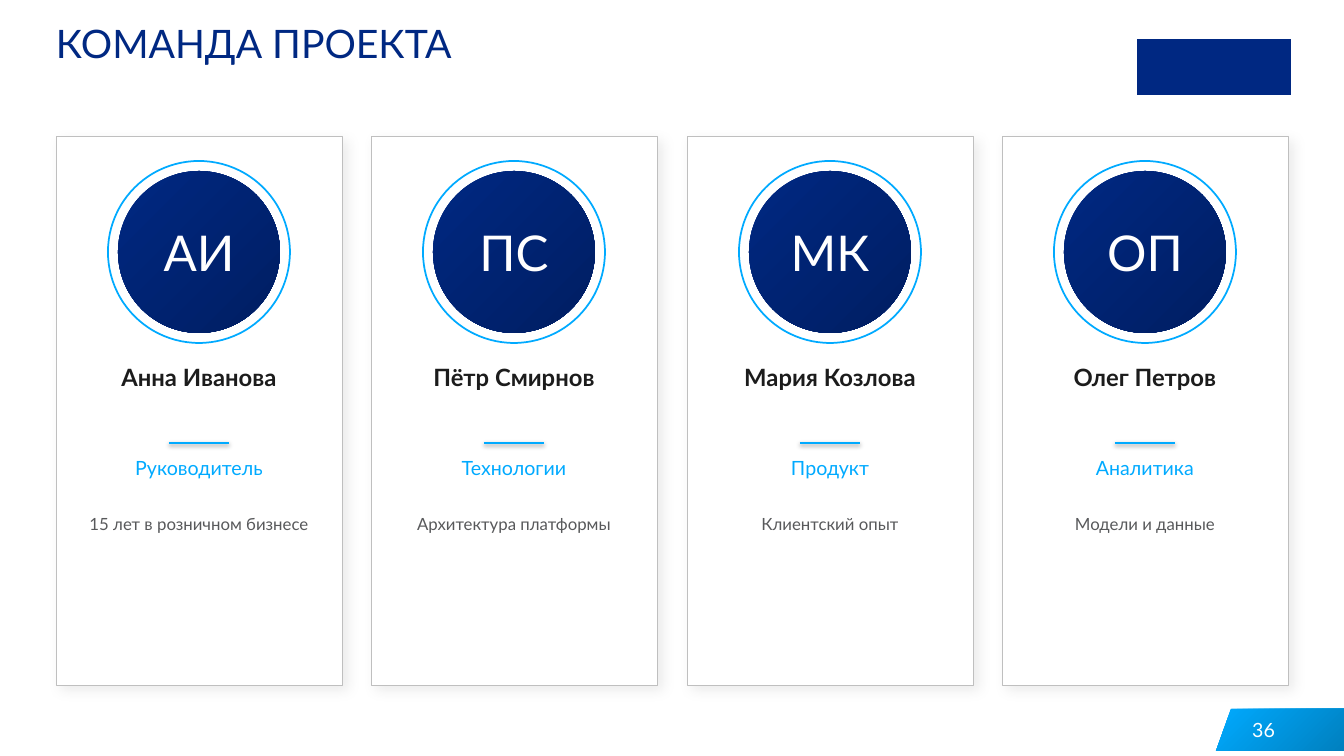
from dataclasses import dataclass

from lxml.etree import SubElement
from pptx import Presentation
from pptx.dml.color import RGBColor
from pptx.enum.shapes import MSO_CONNECTOR as Connector, MSO_SHAPE as Preset
from pptx.enum.text import MSO_ANCHOR as Anchor, MSO_AUTO_SIZE as AutoSize, PP_ALIGN as Align
from pptx.oxml.ns import qn
from pptx.util import Emu, Pt

PAGE_WIDTH, PAGE_HEIGHT = 1344, 756
TITLE_ONLY = 5
EMU_PER_PX = 914400 / 100.8


@dataclass(frozen=True)
class Theme:
    font: str = "Lato"
    navy: str = "002882"
    deep_navy: str = "001E62"
    sky: str = "00AAFF"
    deep_sky: str = "0080BF"
    white: str = "FFFFFF"
    border: str = "BFBFBF"
    ink: str = "1C1C1C"
    gray: str = "58595B"
    shadow: str = "000000"
    title_size: float = 28
    initials_size: float = 35.2
    name_size: float = 17
    label_size: float = 14
    note_size: float = 12


def px(length):
    return Emu(round(length * EMU_PER_PX))


def set_values(target, values):
    for name, value in values.items():
        setattr(target, name, value)


class SlideBuilder:
    def __init__(self, deck, theme):
        self.theme = theme
        self.page = deck.slides.add_slide(deck.slide_layouts[TITLE_ONLY])

    def set_text(self, shape, words, size, color, align=Align.CENTER,
                 anchor=Anchor.TOP, bold=False, inset=0):
        frame = shape.text_frame
        set_values(frame, {
            "word_wrap": True, "auto_size": AutoSize.NONE, "vertical_anchor": anchor,
            "margin_left": px(inset), "margin_right": px(inset),
            "margin_top": 0, "margin_bottom": 0})
        para = frame.paragraphs[0]
        para.alignment = align
        span = para.add_run()
        span.text = words
        set_values(span.font, {"name": self.theme.font, "size": Pt(size), "bold": bold})
        span.font.color.rgb = RGBColor.from_string(color)

    def title(self, words, left, top, width, height):
        shape = self.page.shapes.title
        set_values(shape, {"left": px(left), "top": px(top),
                           "width": px(width), "height": px(height)})
        self.set_text(shape, words, self.theme.title_size, self.theme.navy, Align.LEFT)

    def text(self, words, left, top, width, height, size, color, **layout):
        box = self.page.shapes.add_textbox(px(left), px(top), px(width), px(height))
        self.set_text(box, words, size, color, **layout)

    def paint(self, shape, fill=(), line=None, weight=0):
        """Fill with no colour, one colour or a diagonal gradient of two."""
        shape.shadow.inherit = False
        if len(fill) == 2:
            shape.fill.gradient()
            shape.fill.gradient_angle = 315
            for stop, color in zip(shape.fill.gradient_stops, fill):
                stop.color.rgb = RGBColor.from_string(color)
        elif fill:
            shape.fill.solid()
            shape.fill.fore_color.rgb = RGBColor.from_string(fill[0])
        else:
            shape.fill.background()
        if line:
            shape.line.color.rgb = RGBColor.from_string(line)
            shape.line.width = Pt(weight)
        else:
            shape.line.fill.background()

    def shape(self, preset, left, top, width, height, **paint):
        shape = self.page.shapes.add_shape(preset, px(left), px(top), px(width), px(height))
        self.paint(shape, **paint)
        return shape

    def polygon(self, points, **paint):
        start, *others = [(px(x), px(y)) for x, y in points]
        outline = self.page.shapes.build_freeform(*start)
        outline.add_line_segments(others, close=True)
        self.paint(outline.convert_to_shape(), **paint)

    def line(self, left, top, width, color, weight):
        line = self.page.shapes.add_connector(
            Connector.STRAIGHT, px(left), px(top), px(left + width), px(top))
        line.line.color.rgb = RGBColor.from_string(color)
        line.line.width = Pt(weight)
        SubElement(line.element.spPr, qn("a:effectLst"))
        return line

    def drop_shadow(self, shape, opacity, blur, distance, angle):
        effects = shape.element.spPr.find(qn("a:effectLst"))
        outer = SubElement(effects, qn("a:outerShdw"), blurRad=str(Pt(blur)),
                           dist=str(Pt(distance)), dir=str(angle * 60000),
                           algn="ctr", rotWithShape="0")
        color = SubElement(outer, qn("a:srgbClr"), val=self.theme.shadow)
        SubElement(color, qn("a:alpha"), val=str(opacity * 1000))

    def member_card(self, left, initials, name, role, note):
        theme, width = self.theme, 286
        center = left + width // 2
        card = self.shape(Preset.RECTANGLE, left, 136, width, 549,
                          fill=[theme.white], line=theme.border, weight=0.5)
        self.drop_shadow(card, 8, 9, 5, 45)
        self.shape(Preset.OVAL, center - 91, 161, 182, 182, line=theme.sky, weight=1.25)
        disc = self.shape(Preset.OVAL, center - 81, 171, 162, 162,
                          fill=[theme.navy, theme.deep_navy])
        self.set_text(disc, initials, theme.initials_size, theme.white, anchor=Anchor.MIDDLE)
        self.text(name, left + 20, 363, width - 40, 71, theme.name_size, theme.ink, bold=True)
        divider = self.line(center - 30, 443, 60, theme.sky, 1.5)
        self.drop_shadow(divider, 38, 3.1, 1.6, 90)
        self.text(role, left + 20, 456, width - 40, 55, theme.label_size, theme.sky)
        self.text(note, left + 25, 514, width - 50, 161, theme.note_size, theme.gray)


def main():
    deck = Presentation()
    set_values(deck, {"slide_width": px(PAGE_WIDTH), "slide_height": px(PAGE_HEIGHT)})
    theme = Theme()
    builder = SlideBuilder(deck, theme)

    builder.polygon([(1231, 709), (1344, 709), (1344, 751), (1216, 751)],
                    fill=[theme.sky, theme.deep_sky])
    builder.shape(Preset.RECTANGLE, 1137, 39, 154, 56, fill=[theme.navy])
    builder.title("КОМАНДА ПРОЕКТА", 56, 19, 1056, 95)
    builder.text("36", 1229, 710, 56, 40, theme.label_size, theme.white,
                 align=Align.RIGHT, anchor=Anchor.MIDDLE, inset=10)

    members = [
        ("АИ", "Анна Иванова", "Руководитель", "15 лет в розничном бизнесе"),
        ("ПС", "Пётр Смирнов", "Технологии", "Архитектура платформы"),
        ("МК", "Мария Козлова", "Продукт", "Клиентский опыт"),
        ("ОП", "Олег Петров", "Аналитика", "Модели и данные"),
    ]
    first_left, last_left = 56, 1002
    pitch = (last_left - first_left) / (len(members) - 1)
    for index, member in enumerate(members):
        builder.member_card(round(first_left + index * pitch), *member)

    deck.save("out.pptx")


if __name__ == "__main__":
    main()
